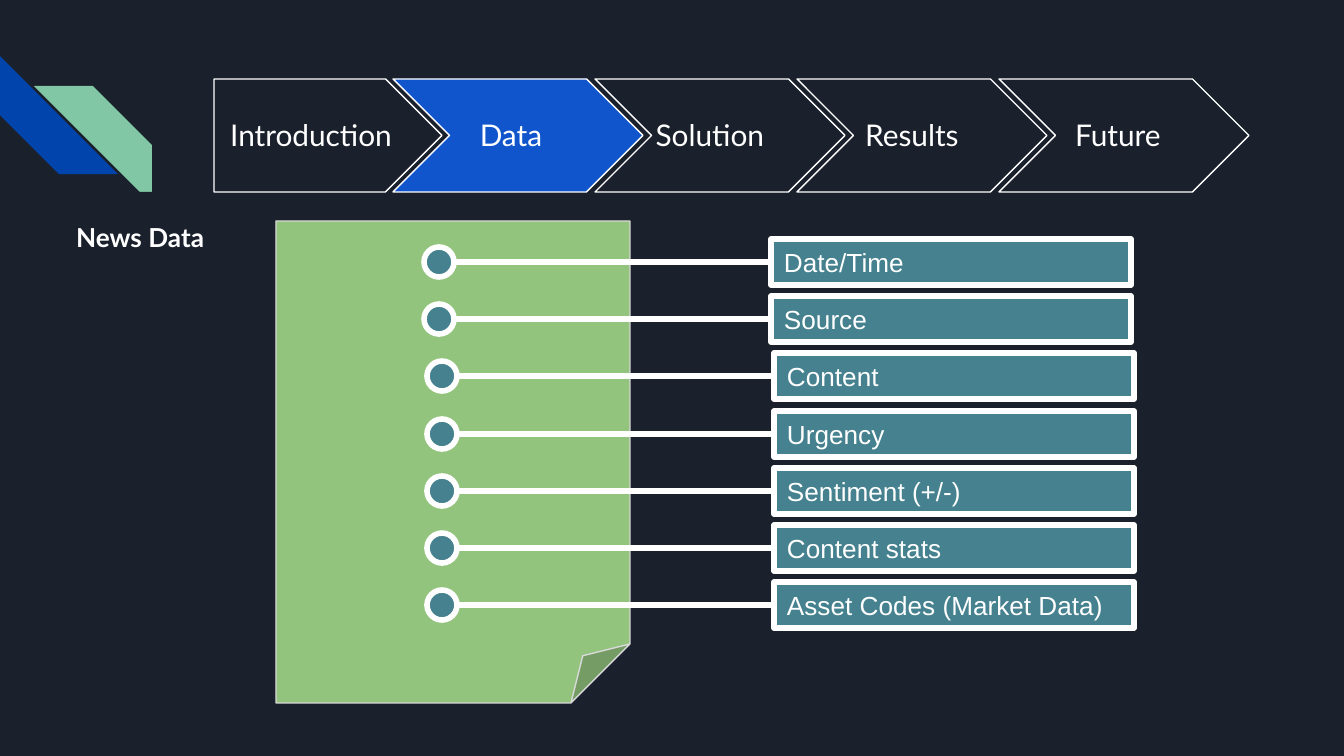
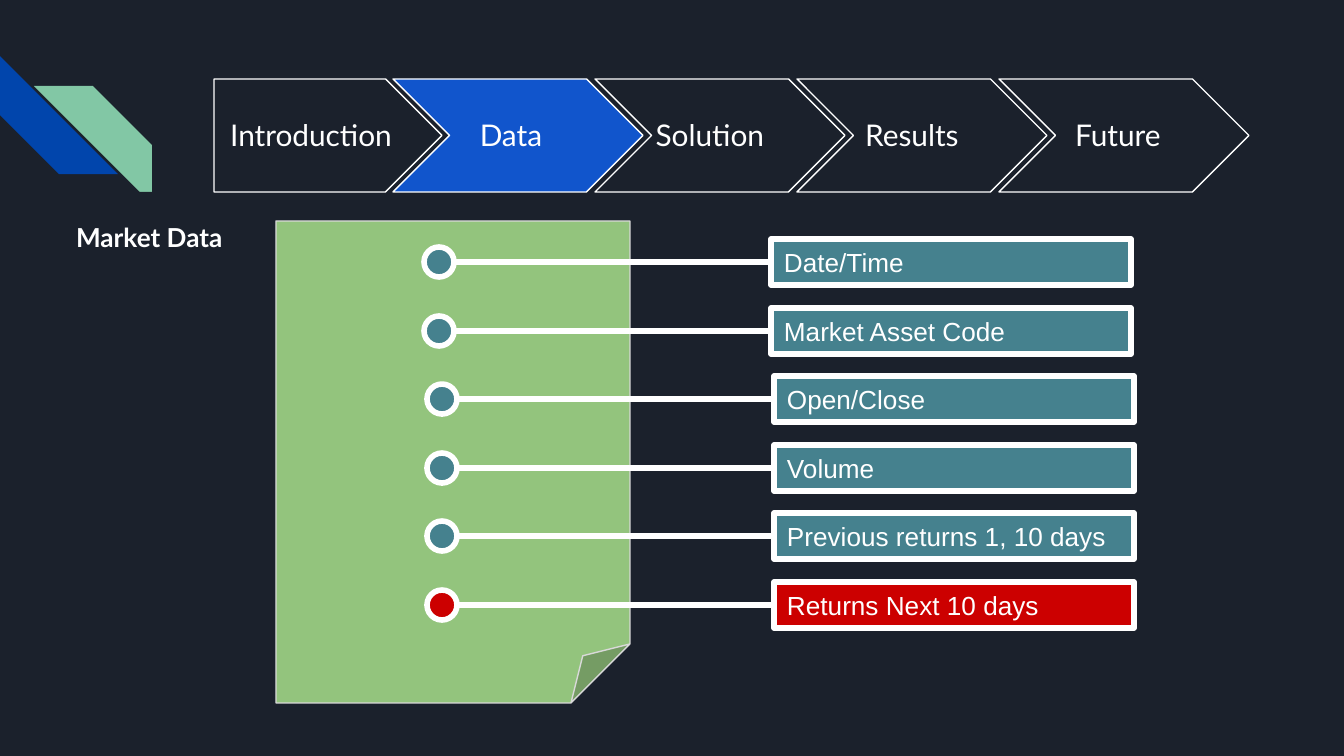
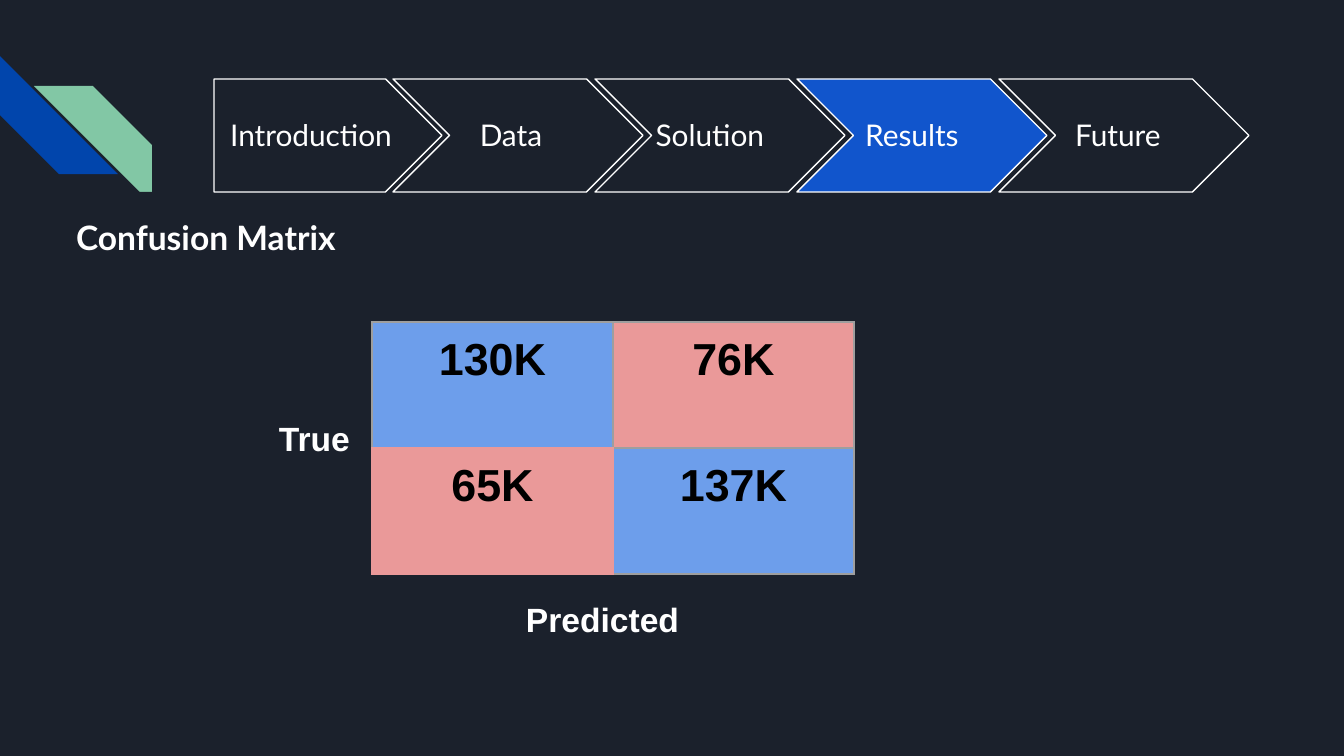
from dataclasses import dataclass

from lxml.etree import SubElement
from pptx import Presentation
from pptx.dml.color import RGBColor
from pptx.enum.shapes import MSO_CONNECTOR, MSO_SHAPE as SHAPE
from pptx.enum.text import MSO_ANCHOR as ANCHOR, MSO_AUTO_SIZE, PP_ALIGN as ALIGN
from pptx.oxml.ns import qn
from pptx.util import Pt

PX = 6804  # EMU in one pixel
INSET = 13 * PX


@dataclass(frozen=True)
class Theme:
    background: str = "1B212C"
    white: str = "FFFFFF"
    black: str = "000000"
    stripe_blue: str = "0145AC"
    stripe_green: str = "82C7A5"
    active: str = "1155CC"
    paper: str = "93C47D"
    paper_edge: str = "D9D9D9"
    field: str = "45818E"
    target: str = "CC0000"
    right: str = "6D9EEB"
    wrong: str = "EA9999"
    grid: str = "9E9E9E"
    heading_font: str = "Lato"
    body_font: str = "Arial"
    small: int = 14
    step: int = 16
    large: int = 18
    number: int = 24
    thin: float = 0.75
    thick: float = 3


theme = Theme()


def add_shape(slide, preset, box, fill, line=None, width=theme.thin):
    shape = slide.shapes.add_shape(preset, *(n * PX for n in box))
    shape.shadow.inherit = False
    shape.fill.solid()
    shape.fill.fore_color.rgb = RGBColor.from_string(fill)
    if line:
        shape.line.color.rgb = RGBColor.from_string(line)
        shape.line.width = Pt(width)
    else:
        shape.line.fill.background()
    return shape


def write(text_frame, text, size, font=theme.body_font, bold=False,
          align=ALIGN.LEFT, color=theme.white):
    text_frame.text = text
    text_frame.word_wrap = True
    text_frame.margin_left = text_frame.margin_right = INSET
    text_frame.margin_top = text_frame.margin_bottom = INSET
    paragraph = text_frame.paragraphs[0]
    paragraph.alignment = align
    run = paragraph.runs[0]
    run.font.name = font
    run.font.size = Pt(size)
    run.font.bold = bold
    run.font.color.rgb = RGBColor.from_string(color)


# Content: title, title size, title width, active step
HEADINGS = [
    ("News Data", theme.small, 332, "Data"),
    ("Market Data", theme.small, 332, "Data"),
    ("Confusion Matrix", theme.large, 421, "Results"),
]
# Step name, left and width of its label
STEPS = [
    ("Introduction", 214, 194),
    ("Data", 431, 160),
    ("Solution", 630, 160),
    ("Results", 832, 160),
    ("Future", 1038, 160),
]
FIELDS = [
    ["Date/Time", "Source", "Content", "Urgency", "Sentiment (+/-)",
     "Content stats", "Asset Codes (Market Data)"],
    ["Date/Time", "Market Asset Code", "Open/Close", "Volume",
     "Previous returns 1, 10 days", "Returns Next 10 days"],
]
TARGET_FIELD = "Returns Next 10 days"
# Count, fill and the sides bordered in the "wrong" colour
MATRIX = [
    [("130K", theme.right, "B"), ("76K", theme.wrong, "")],
    [("65K", theme.wrong, "LRTB"), ("137K", theme.right, "L")],
]

presentation = Presentation()
presentation.slide_width = 1344 * PX
presentation.slide_height = 756 * PX
master = presentation.slide_master
title_only = presentation.slide_layouts[5]
slides = [presentation.slides.add_slide(title_only) for _ in HEADINGS]

# Master: background, corner stripes and the band that trims them
master.background.fill.solid()
master.background.fill.fore_color.rgb = RGBColor.from_string(theme.background)
blue_stripe = add_shape(slides[0], SHAPE.DIAGONAL_STRIPE, (0, 56, 118, 118), theme.stripe_blue)
blue_stripe.rotation = 270
green_stripe = add_shape(slides[0], SHAPE.DIAGONAL_STRIPE, (34, 86, 118, 118), theme.stripe_green)
green_stripe.element.spPr.xfrm.set("flipH", "1")
trim_band = add_shape(slides[0], SHAPE.RECTANGLE, (63, 192, 387, 69), theme.background)
for shape_id, shape in enumerate((blue_stripe, green_stripe, trim_band), start=20):
    shape.element.nvSpPr.cNvPr.set("id", str(shape_id))
    master.shapes.element.append(shape.element)

# Every slide: title and step bar
for slide, (heading, size, width, active) in zip(slides, HEADINGS):
    title = slide.shapes.title
    title.left, title.top, title.width, title.height = 63 * PX, 214 * PX, width * PX, 46 * PX
    write(title.text_frame, heading, size, theme.heading_font, bold=True)
    title.text_frame.auto_size = MSO_AUTO_SIZE.NONE
    title.text_frame.vertical_anchor = ANCHOR.MIDDLE

    for i, (name, label_left, label_width) in enumerate(STEPS):
        preset = SHAPE.CHEVRON if i else SHAPE.PENTAGON
        box = (191 + 202 * i, 79, 250, 113) if i else (214, 79, 228, 113)
        fill = theme.active if name == active else theme.background
        add_shape(slide, preset, box, fill, theme.white)
        label = slide.shapes.add_textbox(label_left * PX, 99 * PX, label_width * PX, 71 * PX)
        write(label.text_frame, name, theme.step, theme.heading_font, align=ALIGN.CENTER)
        label.text_frame.vertical_anchor = ANCHOR.MIDDLE

# Data slides: a sheet of paper with its fields called out
for slide, fields in zip(slides, FIELDS):
    add_shape(slide, SHAPE.FOLDED_CORNER, (276, 221, 354, 482), theme.paper, theme.paper_edge)
    for i, field in enumerate(fields):
        middle = 262 + round(343 * i / (len(fields) - 1))
        shift = 0 if i < 2 else 3
        fill = theme.target if field == TARGET_FIELD else theme.field
        field_box = add_shape(slide, SHAPE.RECTANGLE, (771 + shift, middle - 23, 360, 46),
                              fill, theme.white, theme.thick)
        write(field_box.text_frame, field, theme.small)
        field_box.text_frame.vertical_anchor = ANCHOR.MIDDLE
        connector = slide.shapes.add_connector(
            MSO_CONNECTOR.STRAIGHT, (454 + shift) * PX, middle * PX, (771 + shift) * PX, middle * PX)
        connector.end_connect(field_box, 1)
        connector.line.color.rgb = RGBColor.from_string(theme.white)
        connector.line.width = Pt(theme.thick)
        SubElement(connector.element.spPr, qn("a:effectLst"))
        add_shape(slide, SHAPE.OVAL, (424 + shift, middle - 15, 30, 30),
                  fill, theme.white, theme.thick)

# Results slide: confusion matrix
results = slides[2]
table = results.shapes.add_table(2, 2, 372 * PX, 322 * PX, 482 * PX, 252 * PX).table
table.first_row = table.horz_banding = False
for i, row in enumerate(MATRIX):
    table.columns[i].width = 241 * PX
    table.rows[i].height = 126 * PX
    for j, (count, fill, wrong_sides) in enumerate(row):
        cell = table.cell(i, j)
        cell.margin_left = cell.margin_right = cell.margin_top = cell.margin_bottom = INSET
        write(cell.text_frame, count, theme.number, bold=True,
              align=ALIGN.CENTER, color=theme.black)
        properties = cell._tc.get_or_add_tcPr()
        for side in "LRTB":
            border = SubElement(properties, qn(f"a:ln{side}"), w=str(Pt(theme.thin)))
            color = theme.wrong if side in wrong_sides else theme.grid
            SubElement(SubElement(border, qn("a:solidFill")), qn("a:srgbClr"), val=color)
        cell.fill.solid()
        cell.fill.fore_color.rgb = RGBColor.from_string(fill)

# Axis names
for axis, box in (("True", (266, 405, 110, 86)), ("Predicted", (513, 586, 238, 71))):
    label = results.shapes.add_textbox(*(n * PX for n in box))
    write(label.text_frame, axis, theme.large, bold=True)

presentation.save("out.pptx")
